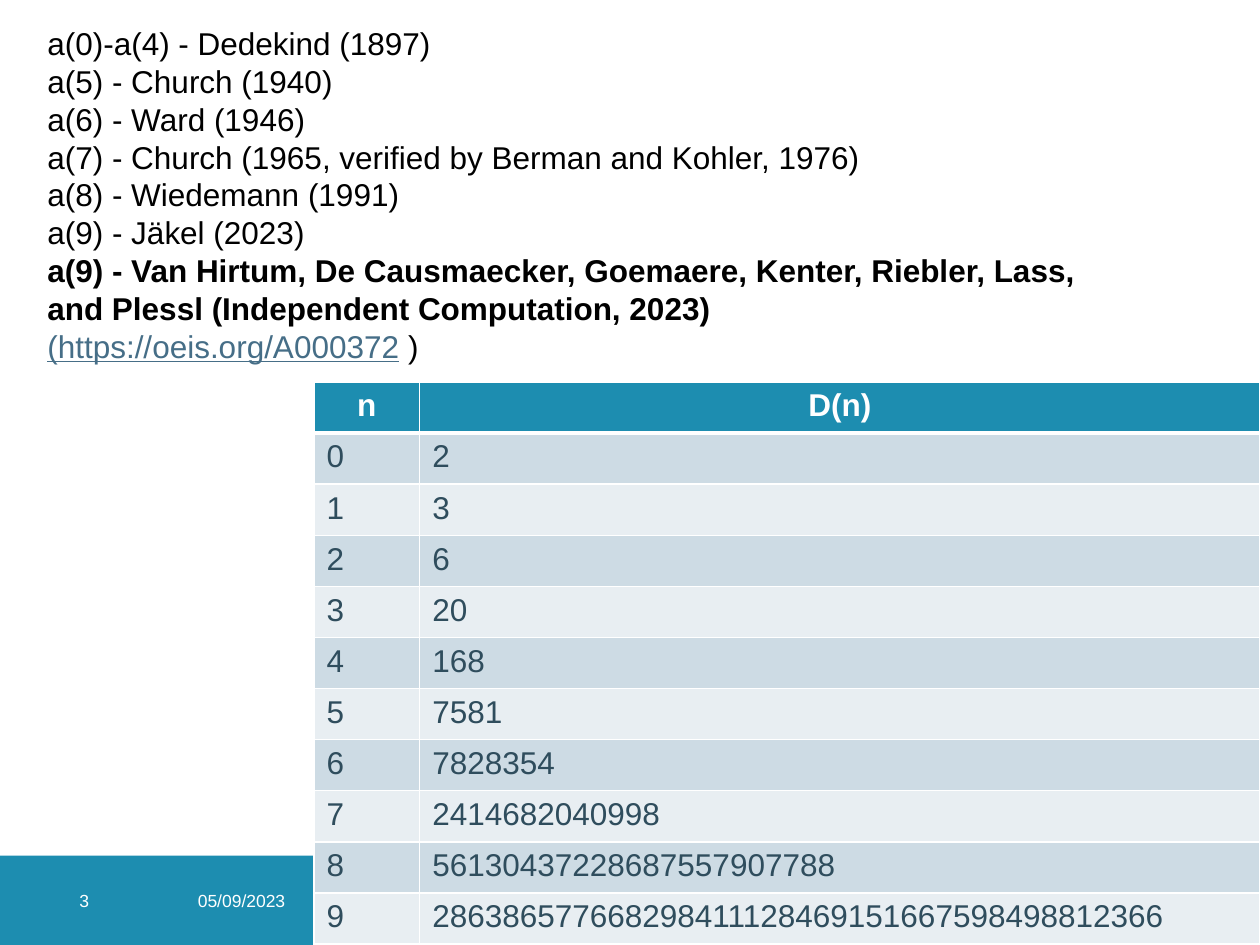
"""Build the slide on the known Dedekind numbers and who computed them."""
from lxml.etree import SubElement
from pptx import Presentation
from pptx.dml.color import RGBColor
from pptx.enum.shapes import MSO_SHAPE as SHAPE
from pptx.enum.text import MSO_ANCHOR as ANCHOR, MSO_AUTO_SIZE as FIT, PP_ALIGN as ALIGN
from pptx.oxml.ns import qn
from pptx.util import Cm, Pt

TEAL, WHITE, BLACK = "1D8DB0", "FFFFFF", "000000"
LINK, INK = "466E87", "2F4D5D"
BANDS = ["E8EEF2", "CDDBE4"]


def rgb(color):
    return RGBColor.from_string(color)


def add_run(p, text, size=18, color=BLACK, bold=False, underline=False):
    r = p.add_run()
    r.text = text
    f = r.font
    f.name, f.size, f.bold, f.underline = "Arial", Pt(size), bold, underline
    f.color.rgb = rgb(color)


prs = Presentation()
prs.slide_width, prs.slide_height = Cm(25.4), Cm(19.05)
s = prs.slides.add_slide(prs.slide_layouts[1])
title = s.shapes.title
title.element.getparent().remove(title.element)

band = s.shapes.add_shape(SHAPE.RECTANGLE, 0, Cm(17.25), Cm(25.4), Cm(1.8))
band.shadow.inherit = False
band.fill.solid()
band.fill.fore_color.rgb = rgb(TEAL)
band.line.fill.background()

for left, width, text in [(3.99, 2, "05/09/2023"), (1.6, 1.8, "3")]:
    tf = s.shapes.add_textbox(Cm(left), Cm(17.25), Cm(width), Cm(1.8)).text_frame
    tf.margin_left = tf.margin_right = tf.margin_top = tf.margin_bottom = 0
    tf.word_wrap = True
    tf.vertical_anchor = ANCHOR.MIDDLE
    add_run(tf.paragraphs[0], text, size=10, color=WHITE)

credits = [
    [("a(0)-a(4) - Dedekind (1897)", {})],
    [("a(5) - Church (1940)", {})],
    [("a(6) - Ward (1946)", {})],
    [("a(7) - Church (1965, verified by Berman and Kohler, 1976)", {})],
    [("a(8) - Wiedemann (1991)", {})],
    [("a(9) - Jäkel (2023)", {})],
    [("a(9) - Van Hirtum, De Causmaecker, Goemaere, Kenter, Riebler, Lass, "
      "and Plessl (Independent Computation, 2023)", {"bold": True})],
    [("(https://oeis.org/A000372", {"color": LINK, "underline": True}), (" )", {})],
]
body = s.placeholders[1]
body.left, body.top, body.width, body.height = Cm(0.7), Cm(0.36), Cm(22.5), Cm(7.19)
tf = body.text_frame
tf.word_wrap = True
tf.auto_size = FIT.NONE
tf.vertical_anchor = ANCHOR.TOP
for i, runs in enumerate(credits):
    p = tf.add_paragraph() if i else tf.paragraphs[0]
    pPr = p._p.get_or_add_pPr()
    pPr.set("marL", "0")
    pPr.set("indent", "0")
    SubElement(pPr, qn("a:buNone"))
    p.space_before = p.space_after = Pt(0)
    p.line_spacing = Pt(21.6)
    for text, style in runs:
        add_run(p, text, **style)

values = ["2", "3", "6", "20", "168", "7581", "7828354", "2414682040998",
          "56130437228687557907788", "286386577668298411128469151667598498812366"]
rows = [("n", "D(n)")] + [(str(n), value) for n, value in enumerate(values)]
table = s.shapes.add_table(len(rows), 2, Cm(6.33), Cm(7.7), Cm(19.07), Cm(11.35)).table
table.columns[0].width, table.columns[1].width = Cm(2.13), Cm(16.94)
for i, row in enumerate(rows):
    header = i == 0
    table.rows[i].height = Cm(1.03)
    for j, text in enumerate(row):
        cell = table.cell(i, j)
        tcPr = cell._tc.get_or_add_tcPr()
        for side in ("lnL", "lnR", "lnT", "lnB"):
            thick = (header and side == "lnB") or (i == 1 and side == "lnT")
            ln = SubElement(tcPr, qn(f"a:{side}"), w=str(Pt(3 if thick else 1)))
            SubElement(SubElement(ln, qn("a:solidFill")), qn("a:srgbClr"), val=WHITE)
        cell.fill.solid()
        cell.fill.fore_color.rgb = rgb(TEAL if header else BANDS[i % 2])
        p = cell.text_frame.paragraphs[0]
        p.alignment = ALIGN.CENTER if header else ALIGN.LEFT
        add_run(p, text, color=WHITE if header else INK, bold=header)

prs.save("out.pptx")
